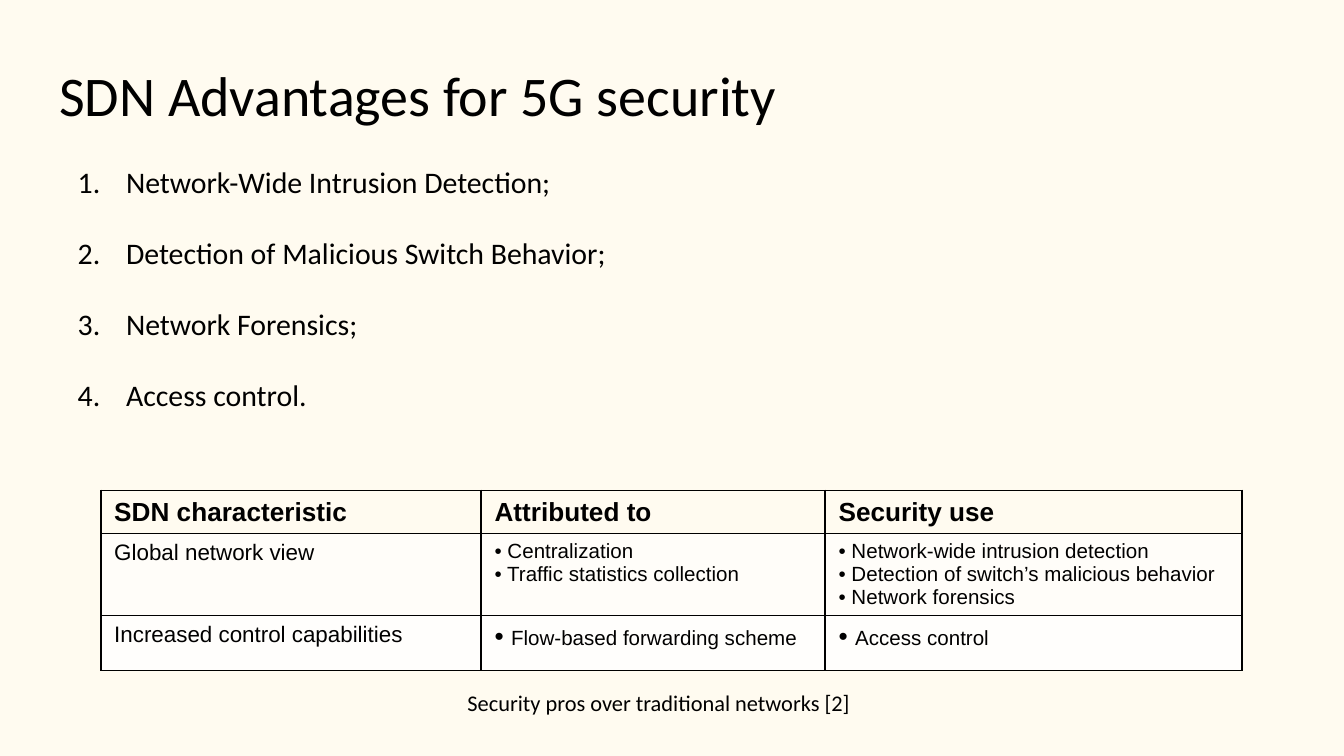
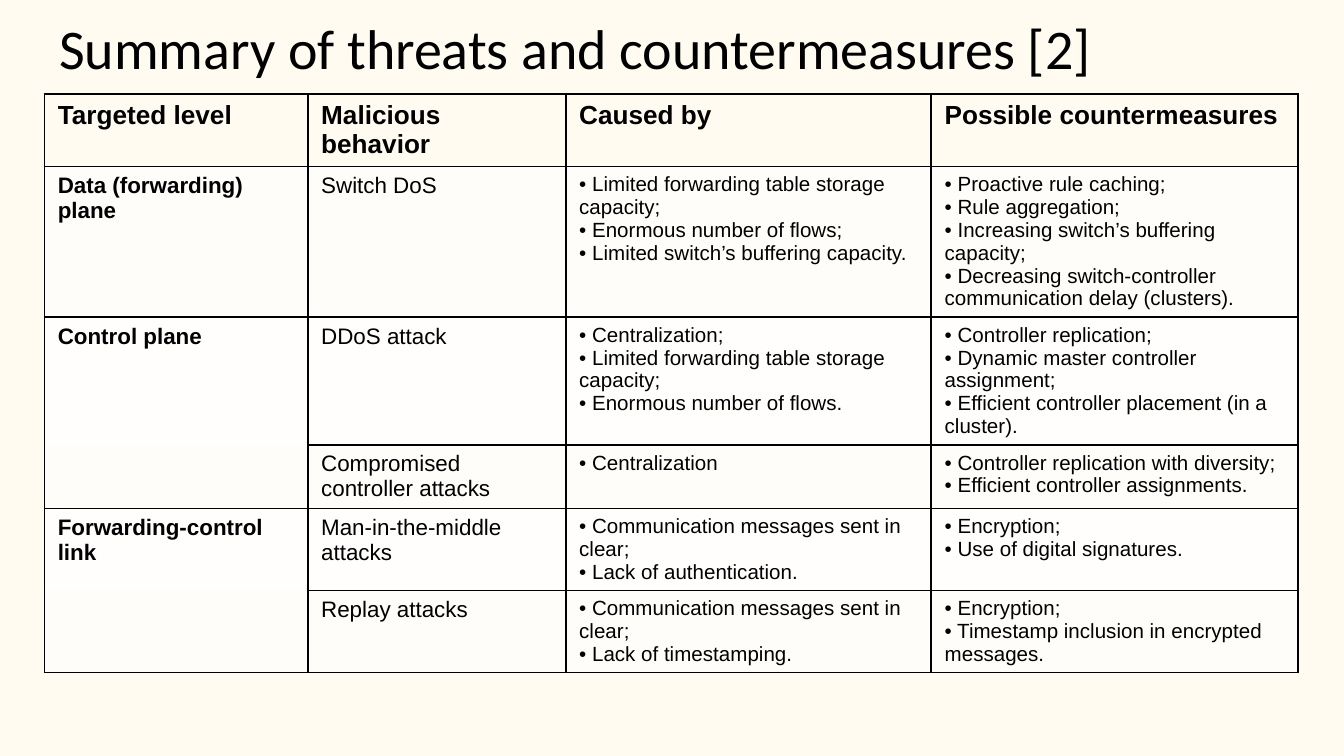
from lxml import etree
from pptx import Presentation
from pptx.dml.color import RGBColor
from pptx.enum.text import MSO_ANCHOR, MSO_AUTO_SIZE, PP_ALIGN
from pptx.oxml.ns import qn
from pptx.util import Inches, Pt

TOP = MSO_ANCHOR.TOP
NO_FIT = MSO_AUTO_SIZE.NONE
LEFT, JUSTIFY = PP_ALIGN.LEFT, PP_ALIGN.JUSTIFY

COLORS = {"ink": "000000", "page": "FFFBF0", "odd_row": "FFFDF9", "even_row": "FFFEFC"}
TEXT_FONT, TABLE_FONT = "Calibri", "Arial"
TITLE_SIZE, LIST_SIZE, CAPTION_SIZE = 30, 16, 12
HEADER_SIZE, LABEL_SIZE, BULLET_SIZE = 14, 12, 11

# Content: a string cell is a label, a list cell is bulleted,
# and None continues the cell above
ADVANTAGES_TITLE = "SDN Advantages for 5G security"
ADVANTAGES = [
    "Network-Wide Intrusion Detection;",
    "Detection of Malicious Switch Behavior;",
    "Network Forensics;",
    "Access control.",
]
CAPTION = "Security pros over traditional networks [2]"
CHARACTERISTICS = [
    ["SDN characteristic", "Attributed to", "Security use"],
    ["Global network view",
     ["Centralization", "Traffic statistics collection"],
     ["Network-wide intrusion detection",
      "Detection of switch’s malicious behavior",
      "Network forensics"]],
    ["Increased control capabilities",
     ["Flow-based forwarding scheme"],
     ["Access control"]],
]

THREATS_TITLE = "Summary of threats and countermeasures [2]"
THREATS = [
    ["Targeted level", "Malicious behavior", "Caused by", "Possible countermeasures"],
    ["Data (forwarding) plane", "Switch DoS",
     ["Limited forwarding table storage capacity;",
      "Enormous number of flows;",
      "Limited switch’s buffering capacity."],
     ["Proactive rule caching;",
      "Rule aggregation;",
      "Increasing switch’s buffering capacity;",
      "Decreasing switch-controller communication delay (clusters)."]],
    ["Control plane", "DDoS attack",
     ["Centralization;",
      "Limited forwarding table storage capacity;",
      "Enormous number of flows."],
     ["Controller replication;",
      "Dynamic master controller assignment;",
      "Efficient controller placement (in a cluster)."]],
    [None, "Compromised controller attacks",
     ["Centralization"],
     ["Controller replication with diversity;",
      "Efficient controller assignments."]],
    ["Forwarding-control\nlink", "Man-in-the-middle attacks",
     ["Communication messages sent in clear;", "Lack of authentication."],
     ["Encryption;", "Use of digital signatures."]],
    [None, "Replay attacks",
     ["Communication messages sent in clear;", "Lack of timestamping."],
     ["Encryption;", "Timestamp inclusion in encrypted messages."]],
]


def color(name):
    return RGBColor.from_string(COLORS[name])


def set_font(font, name, size, bold=False):
    font.name, font.size, font.bold = name, Pt(size), bold
    font.color.rgb = color("ink")


def prepare_frame(frame):
    frame.word_wrap = True
    frame.auto_size = NO_FIT
    frame.vertical_anchor = TOP
    frame.margin_left = frame.margin_right = Inches(0.1)
    frame.margin_top = frame.margin_bottom = Inches(0.1)


def add_slide(prs, title, top, height):
    slide = prs.slides.add_slide(prs.slide_layouts[5])
    slide.background.fill.solid()
    slide.background.fill.fore_color.rgb = color("page")
    heading = slide.shapes.title
    heading.left, heading.top = Inches(0.34), Inches(top)
    heading.width, heading.height = Inches(9.32), Inches(height)
    prepare_frame(heading.text_frame)
    heading.text_frame.text = title
    paragraph = heading.text_frame.paragraphs[0]
    paragraph.alignment = LEFT
    set_font(paragraph.font, TEXT_FONT, TITLE_SIZE)
    return slide


def add_text(slide, box, lines, size):
    frame = slide.shapes.add_textbox(*map(Inches, box)).text_frame
    prepare_frame(frame)
    frame.text = "\n".join(lines)
    for paragraph in frame.paragraphs:
        set_font(paragraph.font, TEXT_FONT, size)
    return frame.paragraphs


def add_numbered_list(slide, box, items):
    for i, paragraph in enumerate(add_text(slide, box, items, LIST_SIZE)):
        paragraph.alignment = JUSTIFY
        paragraph.line_spacing = 1.15
        paragraph.space_before = Pt(16 if i else 0)
        props = paragraph._p.get_or_add_pPr()
        props.set("marL", str(Inches(0.5)))
        props.set("indent", str(Inches(-0.36)))
        numbering = etree.Element(qn("a:buAutoNum"), type="arabicPeriod")
        # Numbering comes right after the spacing elements
        props.insert(2, numbering)


def set_borders(cell, hidden_side):
    props = cell._tc.get_or_add_tcPr()
    for side in "LRTB":
        line = etree.SubElement(props, qn(f"a:ln{side}"), w=str(Pt(1)))
        if side == hidden_side:
            etree.SubElement(line, qn("a:noFill"))
        else:
            fill = etree.SubElement(line, qn("a:solidFill"))
            etree.SubElement(fill, qn("a:srgbClr"), val=COLORS["ink"])


def fill_cell(cell, content, bold, header, marker_size):
    frame = cell.text_frame
    if isinstance(content, list):
        for i, item in enumerate(content):
            paragraph = frame.paragraphs[0] if i == 0 else frame.add_paragraph()
            set_font(paragraph.font, TABLE_FONT, BULLET_SIZE)
            if marker_size == BULLET_SIZE:
                paragraph.text = "• " + item
            else:
                for text, size in (("• ", marker_size), (item, BULLET_SIZE)):
                    run = paragraph.add_run()
                    run.text = text
                    set_font(run.font, TABLE_FONT, size)
    elif content:
        frame.text = content
        for paragraph in frame.paragraphs:
            set_font(paragraph.font, TABLE_FONT, HEADER_SIZE if header else LABEL_SIZE, bold)


def add_grid(slide, box, rows, widths, heights, bold_labels=False, large_marker_row=None):
    holder = slide.shapes.add_table(len(rows), len(widths), *map(Inches, box))
    table = holder.table
    table.first_row = table.horz_banding = False
    for column, width in zip(table.columns, widths):
        column.width = Inches(width)
    for row, height in zip(table.rows, heights):
        row.height = Inches(height)
    # Rows grow with their text up to the full table height
    holder.height = Inches(box[3])

    for r, row in enumerate(rows):
        header = r == 0
        band = "page" if header else "odd_row" if r % 2 else "even_row"
        marker_size = 14 if r == large_marker_row else BULLET_SIZE
        for c, content in enumerate(row):
            cell = table.cell(r, c)
            continues = r + 1 < len(rows) and rows[r + 1][c] is None
            set_borders(cell, "T" if content is None else "B" if continues else None)
            cell.fill.solid()
            cell.fill.fore_color.rgb = color(band)
            bold = header or (bold_labels and c == 0)
            fill_cell(cell, content, bold, header, marker_size)


def main():
    prs = Presentation()
    # Widescreen page, 16:9
    prs.slide_width, prs.slide_height = Inches(10), Inches(10 * 9 / 16)

    # Advantages: numbered list, table and its caption
    slide = add_slide(prs, ADVANTAGES_TITLE, 0.35, 0.67)
    add_numbered_list(slide, (0.34, 1.08, 4.73, 2.01), ADVANTAGES)
    add_grid(slide, (0.75, 3.65, 8.5, 1.39), CHARACTERISTICS,
             (2.83, 2.56, 3.1), (0.28, 0.41, 0.41), large_marker_row=2)
    add_text(slide, (3.38, 5.03, 3.35, 0.4), [CAPTION], CAPTION_SIZE)

    # Threats: one table over the whole slide
    slide = add_slide(prs, THREATS_TITLE, 0, 0.54)
    add_grid(slide, (0.33, 0.7, 9.33, 4.58), THREATS,
             (1.96, 1.92, 2.72, 2.73), [0.41] * len(THREATS), bold_labels=True)

    prs.save("out.pptx")


if __name__ == "__main__":
    main()
